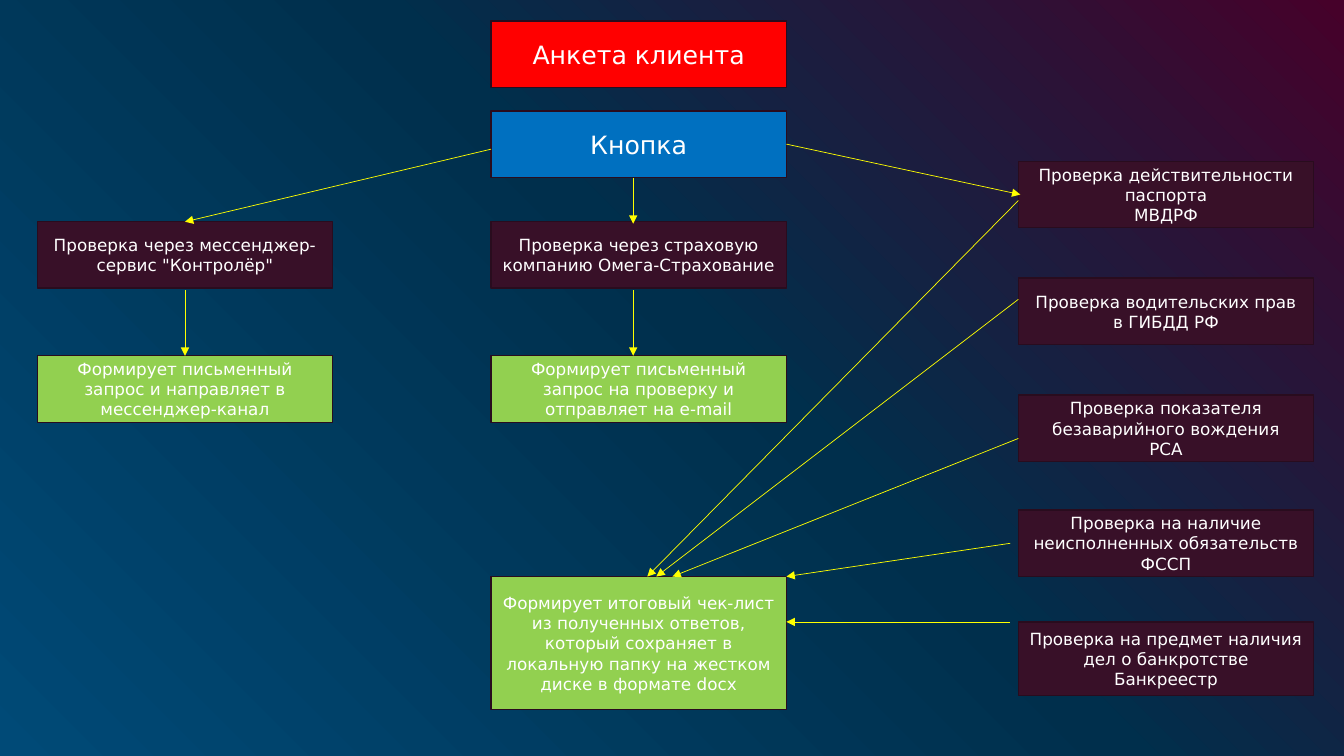
from lxml.etree import SubElement
from pptx import Presentation
from pptx.dml.color import RGBColor
from pptx.enum.shapes import MSO_CONNECTOR as Connector, MSO_SHAPE as Shape
from pptx.enum.text import MSO_ANCHOR as Anchor, MSO_AUTO_SIZE as AutoSize, PP_ALIGN as Align
from pptx.oxml.ns import qn
from pptx.util import Inches, Pt

FONT = "DejaVu Sans"
RED, BLUE, GREEN, PLUM = "FF0000", "0070C0", "92D050", "381028"
WHITE, YELLOW, EDGE = "FFFFFF", "FFFF00", "290C1E"
BACKGROUND = [(0, "004A77"), (54, "002F4C"), (100, "46012A"), (100, "8C0254")]

# Grid in inches: three columns of boxes, and the tops of the shared rows
LEFT, MIDDLE, RIGHT = 0.37, 4.87, 10.1
BOX_W, BOX_H = 2.93, 0.66
TITLE_ROW, BUTTON_ROW, CHECK_ROW, REQUEST_ROW, RESULT_ROW = 0.21, 1.1, 2.2, 3.53, 5.72
LEFT_AXIS, MIDDLE_AXIS = LEFT + BOX_W / 2, 6.28
MIDDLE_EDGE = MIDDLE + BOX_W

STEPS = [  # column, top, height, colour, text
    (MIDDLE, CHECK_ROW, BOX_H, PLUM, "Проверка через страховую компанию Омега-Страхование"),
    (LEFT, CHECK_ROW, BOX_H, PLUM, 'Проверка через мессенджер-сервис "Контролёр"'),
    (MIDDLE, REQUEST_ROW, BOX_H, GREEN,
     "Формирует письменный запрос на проверку и отправляет на e-mail"),
    (LEFT, REQUEST_ROW, BOX_H, GREEN,
     "Формирует письменный запрос и направляет в мессенджер-канал"),
    (MIDDLE, RESULT_ROW, 2 * BOX_H, GREEN,
     "Формирует итоговый чек-лист из полученных ответов, который сохраняет "
     "в локальную папку на жестком диске в формате docx"),
]

REGISTRY_CHECKS = [  # top, height, text, arrow start, arrow end
    (1.6, BOX_H, "Проверка действительности паспорта\vМВДРФ", (RIGHT, 1.99), (6.42, RESULT_ROW)),
    (2.76, BOX_H, "Проверка водительских прав в ГИБДД РФ", (RIGHT, 2.97), (6.51, RESULT_ROW)),
    (3.92, BOX_H, "Проверка показателя безаварийного вождения\vРСА",
     (RIGHT, 4.35), (6.67, RESULT_ROW)),
    (5.06, BOX_H, "Проверка на наличие неисполненных обязательств\vФССП",
     (10.02, 5.39), (MIDDLE_EDGE, RESULT_ROW)),
    (6.17, 0.73, "Проверка на предмет наличия дел о банкротстве\vБанкреестр",
     (10.02, 6.17), (MIDDLE_EDGE, 6.17)),
]

FLOW = [  # arrow start, arrow end
    ((MIDDLE_EDGE, 1.43), (10.12, 1.93)),
    ((MIDDLE_AXIS, 1.77), (MIDDLE_AXIS, 2.22)),
    ((MIDDLE, 1.48), (LEFT_AXIS, CHECK_ROW)),
    ((MIDDLE_AXIS, 2.88), (MIDDLE_AXIS, REQUEST_ROW)),
    ((LEFT_AXIS, 2.88), (LEFT_AXIS, REQUEST_ROW)),
]


def rgb(value):
    """Turn a hex string into a colour."""
    return RGBColor.from_string(value)


def paint_background(slide):
    """Fill the slide with a diagonal gradient."""
    fill = slide.background.fill
    fill.gradient()
    fill.gradient_angle = 45
    stops = slide.element.find(".//" + qn("a:gsLst"))
    for stop in list(stops):
        stops.remove(stop)
    for position, colour in BACKGROUND:
        stop = SubElement(stops, qn("a:gs"), pos=str(position * 1000))
        SubElement(stop, qn("a:srgbClr"), val=colour)


def format_box(box, colour, text, size):
    """Give a box its fill, outline and centred text."""
    box.fill.solid()
    box.fill.fore_color.rgb = rgb(colour)
    box.line.color.rgb = rgb(EDGE)
    box.line.width = Pt(1)
    frame = box.text_frame
    frame.word_wrap = True
    frame.auto_size = AutoSize.NONE
    frame.vertical_anchor = Anchor.MIDDLE
    paragraph = frame.paragraphs[0]
    paragraph.text = text
    paragraph.alignment = Align.CENTER
    paragraph.font.name = FONT
    paragraph.font.size = Pt(size)
    paragraph.font.color.rgb = rgb(WHITE)


def add_step(slide, column, top, height, colour, text, size=12):
    """Add one step of the flow to a column."""
    step = slide.shapes.add_shape(
        Shape.RECTANGLE, Inches(column), Inches(top), Inches(BOX_W), Inches(height))
    step.shadow.inherit = False
    format_box(step, colour, text, size)


def set_title(slide, text):
    """Place the title at the head of the middle column."""
    title = slide.shapes.title
    title.left, title.top = Inches(MIDDLE), Inches(TITLE_ROW)
    title.width, title.height = Inches(BOX_W), Inches(BOX_H)
    format_box(title, RED, text, 18)


def add_arrow(slide, start, end):
    """Draw a thin arrow between two points."""
    arrow = slide.shapes.add_connector(
        Connector.STRAIGHT, *(Inches(length) for length in start + end))
    arrow.line.color.rgb = rgb(YELLOW)
    arrow.line.width = Pt(0.5)
    properties = arrow.element.spPr
    SubElement(properties.find(qn("a:ln")), qn("a:tailEnd"), type="triangle")
    SubElement(properties, qn("a:effectLst"))


def main():
    """Build the client check flowchart."""
    deck = Presentation()
    deck.slide_width, deck.slide_height = Inches(13.33), Inches(7.5)
    slide = deck.slides.add_slide(deck.slide_layouts.get_by_name("Title Only"))
    paint_background(slide)
    set_title(slide, "Анкета клиента")
    add_step(slide, MIDDLE, BUTTON_ROW, BOX_H, BLUE, "Кнопка", 18)
    for top, height, text, _, _ in REGISTRY_CHECKS:
        add_step(slide, RIGHT, top, height, PLUM, text)
    for step in STEPS:
        add_step(slide, *step)
    for start, end in FLOW:
        add_arrow(slide, start, end)
    for *_, start, end in REGISTRY_CHECKS:
        add_arrow(slide, start, end)
    deck.save("out.pptx")


main()
